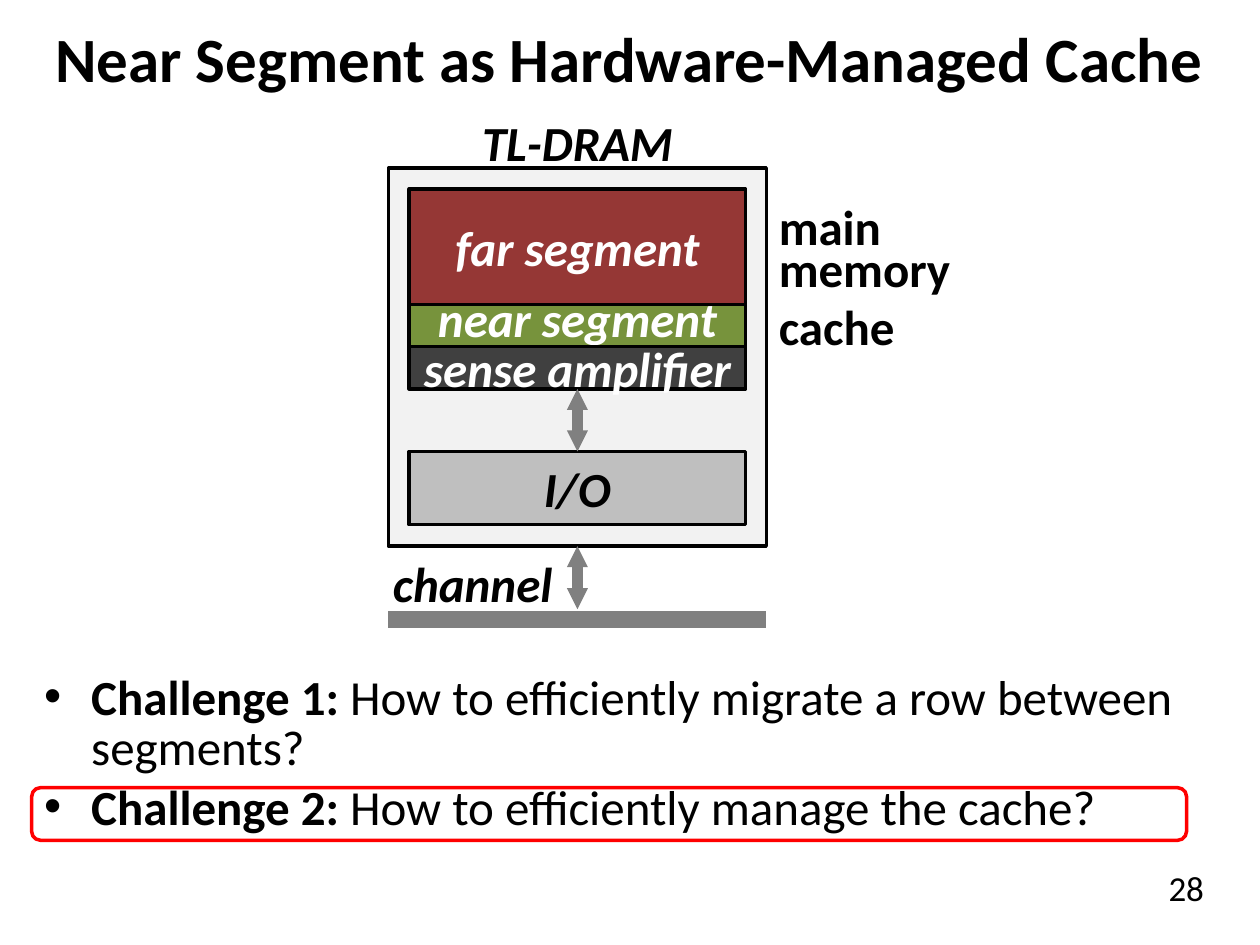
import pptx
import pptx.util
import pptx.dml.color
import pptx.enum.shapes
import pptx.enum.text
import pptx.oxml
import pptx.oxml.ns
from lxml import etree

Cm = pptx.util.Cm
Pt = pptx.util.Pt
RGB = pptx.dml.color.RGBColor
Shape = pptx.enum.shapes.MSO_SHAPE
Align = pptx.enum.text.PP_ALIGN
Anchor = pptx.enum.text.MSO_ANCHOR
qn = pptx.oxml.ns.qn

BLACK = RGB(0x00, 0x00, 0x00)
WHITE = RGB(0xFF, 0xFF, 0xFF)
PALE = RGB(0xF2, 0xF2, 0xF2)
SILVER = RGB(0xBF, 0xBF, 0xBF)
GRAY = RGB(0x80, 0x80, 0x80)
DARK = RGB(0x40, 0x40, 0x40)
MAROON = RGB(0x95, 0x37, 0x35)
GREEN = RGB(0x77, 0x93, 0x3C)
RED = RGB(0xFF, 0x00, 0x00)


class Deck:
    def __init__(self, font="Calibri", size=28):
        self.font, self.size = font, size
        self.prs = pptx.Presentation()
        self.prs.slide_width, self.prs.slide_height = Cm(25.4), Cm(19.05)
        self.slide = self.prs.slides.add_slide(self.prs.slide_layouts[5])

    def run(self, para, text, color=BLACK, size=None, bold=True, italic=False):
        run = para.add_run()
        run.text = text
        font = run.font
        font.name, font.size = self.font, Pt(size or self.size)
        font.bold, font.italic = bold, italic
        font.color.rgb = color

    def title(self, text):
        head = self.slide.shapes.title
        head.left, head.top, head.width, head.height = 0, 0, Cm(25.4), Cm(2.33)
        frame = head.text_frame
        frame.margin_left, frame.margin_right = Cm(1.11), 0
        frame.vertical_anchor = Anchor.MIDDLE
        para = frame.paragraphs[0]
        para.alignment = Align.LEFT
        self.run(para, text, size=36)

    def box(self, x, y, w, h, fill=None, line=BLACK, kind=Shape.RECTANGLE):
        box = self.slide.shapes.add_shape(kind, Cm(x), Cm(y), Cm(w), Cm(h))
        box.shadow.inherit = False
        if fill is None:
            box.fill.background()
        else:
            box.fill.solid()
            box.fill.fore_color.rgb = fill
        box.line.color.rgb, box.line.width = line, Pt(2)
        return box

    def block(self, x, y, w, h, text, fill, color=WHITE, lift=0):
        """Draw a box with a centred name, raised by lift."""
        box = self.box(x, y, w, h, fill)
        frame = box.text_frame
        frame.margin_left = frame.margin_right = frame.margin_top = 0
        frame.margin_bottom = Cm(2 * lift)
        frame.vertical_anchor = Anchor.MIDDLE
        para = frame.paragraphs[0]
        para.alignment = Align.CENTER
        self.run(para, text, color, italic=True)
        return box

    def frame(self, x, y, w, h, anchor=Anchor.MIDDLE):
        area = self.slide.shapes.add_textbox(Cm(x), Cm(y), Cm(w), Cm(h))
        area.text_frame.word_wrap = True
        area.text_frame.vertical_anchor = anchor
        return area.text_frame

    def label(self, x, y, w, h, text, align=Align.LEFT, anchor=Anchor.MIDDLE, **style):
        para = self.frame(x, y, w, h, anchor).paragraphs[0]
        para.alignment = align
        self.run(para, text, **style)

    def points(self, x, y, w, h, items):
        frame = self.frame(x, y, w, h, Anchor.TOP)
        for i, (lead, rest) in enumerate(items):
            para = frame.add_paragraph() if i else frame.paragraphs[0]
            props = para._p.get_or_add_pPr()
            props.set("marL", str(Cm(0.95)))
            props.set("indent", str(-Cm(0.95)))
            para.line_spacing = 0.85
            para.space_before = Pt(5.6 if i else 0)
            etree.SubElement(props, qn("a:buFont")).set("typeface", "Arial")
            etree.SubElement(props, qn("a:buChar")).set("char", "•")
            self.run(para, lead)
            self.run(para, rest, bold=False)

    def line(self, x1, y1, x2, y2, width, heads=False):
        line = self.slide.shapes.add_connector(
            pptx.enum.shapes.MSO_CONNECTOR.STRAIGHT, Cm(x1), Cm(y1), Cm(x2), Cm(y2))
        line.line.color.rgb, line.line.width = GRAY, Pt(width)
        if heads:
            stroke = line.line._get_or_add_ln()
            for end in ("a:headEnd", "a:tailEnd"):
                tip = etree.SubElement(stroke, qn(end))
                tip.set("type", "triangle")
                tip.set("w", "sm")
                tip.set("len", "sm")
        etree.SubElement(line._element.spPr, qn("a:effectLst"))
        return line


def main():
    deck = Deck()
    deck.title("Near Segment as Hardware-Managed Cache")

    left, top, side, pad = 7.83, 3.39, 7.62, 0.42
    mid, base = left + side / 2, top + side
    inner, wide = left + pad, side - 2 * pad
    chip = deck.box(left, top, side, side, PALE)
    deck.label(left, 2.33, side, 1.06, "TL-DRAM", Align.CENTER, italic=True)

    y = top + pad
    for name, high, fill, lift in (
        ("far segment", 2.33, MAROON, 0),
        ("near segment", 0.85, GREEN, 0.15),
        ("sense amplifier", 0.85, DARK, 0),
    ):
        part = deck.block(inner, y, wide, high, name, fill, lift=lift)
        y += high
    port = deck.block(inner, 9.1, wide, 1.48, "I/O", SILVER, BLACK)

    link = deck.line(mid, y, mid, 9.1, 6, heads=True)
    link.begin_connect(part, 2)
    link.end_connect(port, 0)

    deck.line(left, 12.49, left + side, 12.49, 10)
    link = deck.line(mid, base, mid, base + 1.27, 6, heads=True)
    link.begin_connect(chip, 2)
    deck.label(7.2, 11.22, 4.66, 1.06, "channel", Align.CENTER, italic=True)

    for text, y in (("main", 4.02), ("memory", 4.88), ("cache", 6.04)):
        deck.label(left + side, y, 5.28, 1.06, text)

    deck.points(0.64, 13.49, 24.55, 3.66, (
        ("Challenge 1: ", "How to efficiently migrate a row between segments?"),
        ("Challenge 2: ", "How to efficiently manage the cache?"),
    ))
    deck.box(0.64, 15.88, 23.28, 1.06, line=RED, kind=Shape.ROUNDED_RECTANGLE)
    deck.label(22.43, 17.35, 2.97, 1.7, "28", Align.CENTER, Anchor.TOP,
               size=20, bold=False)
    deck.prs.save("out.pptx")


if __name__ == "__main__":
    main()
